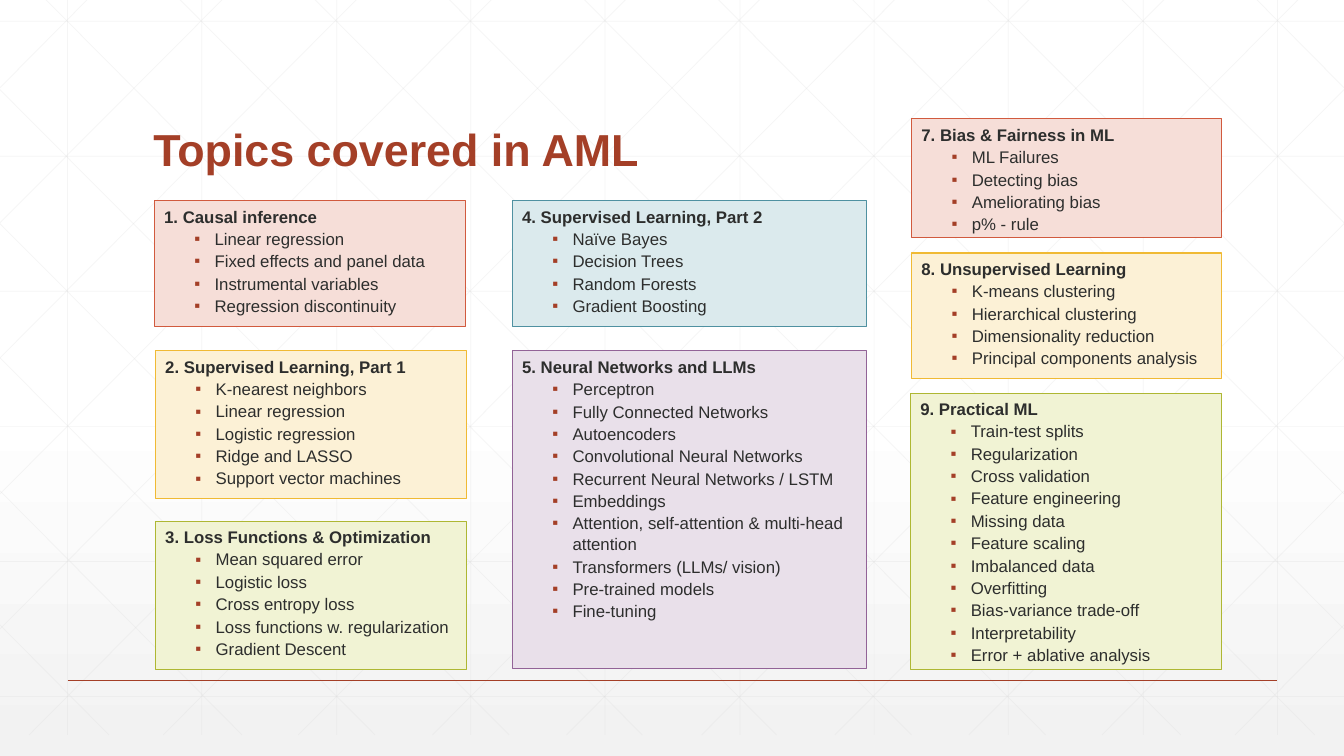
from lxml import etree
from pptx import Presentation
from pptx import util as u
from pptx.dml.color import RGBColor
from pptx.enum import shapes, text
from pptx.oxml import ns

PX = 9144
WIDTH, HEIGHT = 1333, 750
GRID_TOP, GRID_BOTTOM = -21, 729
RUST, INK, GRID = "A43F27", "2D2E2D", "D9D9D9"
RED = ("F6DED8", "D15A3E")
YELLOW = ("FCF1D6", "F0BA34")
GREEN = ("F1F3D4", "AEB733")
TEAL = ("DBEAED", "4F91A1")
PURPLE = ("E9E0EA", "926397")

TOPICS = [
    ((153, 199, 309, 125), RED, "1. Causal inference", [
        "Linear regression", "Fixed effects and panel data",
        "Instrumental variables", "Regression discontinuity"]),
    ((154, 348, 309, 147), YELLOW, "2. Supervised Learning, Part 1", [
        "K-nearest neighbors", "Linear regression", "Logistic regression",
        "Ridge and LASSO", "Support vector machines"]),
    ((154, 517, 309, 147), GREEN, "3. Loss Functions & Optimization", [
        "Mean squared error", "Logistic loss", "Cross entropy loss",
        "Loss functions w. regularization", "Gradient Descent"]),
    ((508, 199, 351, 125), TEAL, "4. Supervised Learning, Part 2", [
        "Naïve Bayes", "Decision Trees", "Random Forests",
        "Gradient Boosting"]),
    ((508, 348, 351, 315), PURPLE, "5. Neural Networks and LLMs", [
        "Perceptron", "Fully Connected Networks", "Autoencoders",
        "Convolutional Neural Networks", "Recurrent Neural Networks / LSTM",
        "Embeddings", "Attention, self-attention & multi-head attention",
        "Transformers (LLMs/ vision)", "Pre-trained models", "Fine-tuning"]),
    ((904, 118, 308, 118), RED, "7. Bias & Fairness in ML", [
        "ML Failures", "Detecting bias", "Ameliorating bias", "p% - rule"]),
    ((904, 251, 308, 125), YELLOW, "8. Unsupervised Learning", [
        "K-means clustering", "Hierarchical clustering",
        "Dimensionality reduction", "Principal components analysis"]),
    ((903, 390, 309, 274), GREEN, "9. Practical ML", [
        "Train-test splits", "Regularization", "Cross validation",
        "Feature engineering", "Missing data", "Feature scaling",
        "Imbalanced data", "Overfitting", "Bias-variance trade-off",
        "Interpretability", "Error + ablative analysis"]),
]


def rgb(value):
    return RGBColor.from_string(value)


def px(*lengths):
    return [u.Emu(round(length) * PX) for length in lengths]


def child(parent, tag, **attributes):
    return etree.SubElement(parent, ns.qn(tag), attributes)


class TopicSlide:
    font = "Arial"

    def __init__(self, deck):
        self.slide = deck.slides.add_slide(deck.slide_layouts[5])
        self.shapes = self.slide.shapes

    def background(self):
        fill = self.slide.background.fill
        fill.gradient()
        fill.gradient_angle = 270
        for stop, position, tint in zip(fill.gradient_stops, (0.53, 1), ("FFFFFF", "F2F2F2")):
            stop.position = position
            stop.color.rgb = rgb(tint)

    def line(self, x1, y1, x2, y2, color, weight, opacity=100):
        rule = self.shapes.add_connector(
            shapes.MSO_CONNECTOR.STRAIGHT, *px(x1, y1, x2, y2))
        rule.line.color.rgb = rgb(color)
        rule.line.width = u.Pt(weight)
        properties = rule.element.spPr
        child(properties, "a:effectLst")
        if opacity < 100:
            tint = properties.find(".//" + ns.qn("a:srgbClr"))
            child(tint, "a:alpha", val=str(opacity * 1000))

    def grid(self):
        spans = [(67 + 133.33 * i, GRID_TOP, 67 + 133.33 * i, GRID_BOTTOM) for i in range(10)]
        spans += [(0, 21 + 134 * i, WIDTH, 21 + 134 * i) for i in range(6)]
        diagonals = []
        for i in range(10):
            start = 25 + 133.4 * i
            run = min(745.5, WIDTH - start)
            diagonals.append((start, GRID_TOP, start + run, GRID_TOP + run * 750 / 745.5))
        diagonals += [(637 - 132.3 * i, GRID_BOTTOM, 0, 89 + 132.8 * i) for i in range(5)]
        spans += diagonals
        spans += [(WIDTH - x1, y1, WIDTH - x2, y2) for x1, y1, x2, y2 in diagonals]
        for span in spans:
            self.line(*span, GRID, 0.5, opacity=25)

    def format_runs(self, paragraph, size, color, bold):
        for run in paragraph.runs:
            run.font.name = self.font
            run.font.size = u.Pt(size)
            run.font.bold = bold
            run.font.color.rgb = rgb(color)

    def title(self, wording):
        heading = self.shapes.title
        self.shapes.element.append(heading.element)
        heading.left, heading.top, heading.width, heading.height = px(142, 55, 1050, 125)
        frame = heading.text_frame
        frame.text = wording
        frame.auto_size = text.MSO_AUTO_SIZE.NONE
        frame.vertical_anchor = text.MSO_ANCHOR.BOTTOM
        paragraph = frame.paragraphs[0]
        paragraph.alignment = text.PP_ALIGN.LEFT
        paragraph.line_spacing = 0.9
        self.format_runs(paragraph, 32, RUST, True)

    def bullet(self, paragraph):
        paragraph.level = 1
        properties = paragraph._p.get_or_add_pPr()
        indent, hanging = px(50, -20)
        properties.set("marL", str(indent))
        properties.set("indent", str(hanging))
        child(child(properties, "a:buClr"), "a:srgbClr", val=RUST)
        child(properties, "a:buFont", typeface=self.font)
        child(properties, "a:buChar", char="▪")

    def topic(self, bounds, palette, heading, items):
        card = self.shapes.add_shape(shapes.MSO_SHAPE.RECTANGLE, *px(*bounds))
        card.shadow.inherit = False
        fill, outline = palette
        card.fill.solid()
        card.fill.fore_color.rgb = rgb(fill)
        card.line.color.rgb = rgb(outline)
        card.line.width = u.Pt(0.75)
        frame = card.text_frame
        frame.word_wrap = True
        frame.vertical_anchor = text.MSO_ANCHOR.TOP
        frame.text = "\n".join([heading, *items])
        for index, paragraph in enumerate(frame.paragraphs):
            paragraph.alignment = text.PP_ALIGN.LEFT
            paragraph.line_spacing = 1.04
            paragraph.space_before = u.Pt(1)
            self.format_runs(paragraph, 12, INK, index == 0)
            if index:
                self.bullet(paragraph)


def main():
    deck = Presentation()
    deck.slide_width, deck.slide_height = px(WIDTH, HEIGHT)
    page = TopicSlide(deck)
    page.background()
    page.grid()
    page.line(67, 675, 1267, 675, RUST, 1)
    page.title("Topics covered in AML")
    for topic in TOPICS:
        page.topic(*topic)
    deck.save("out.pptx")


if __name__ == "__main__":
    main()
